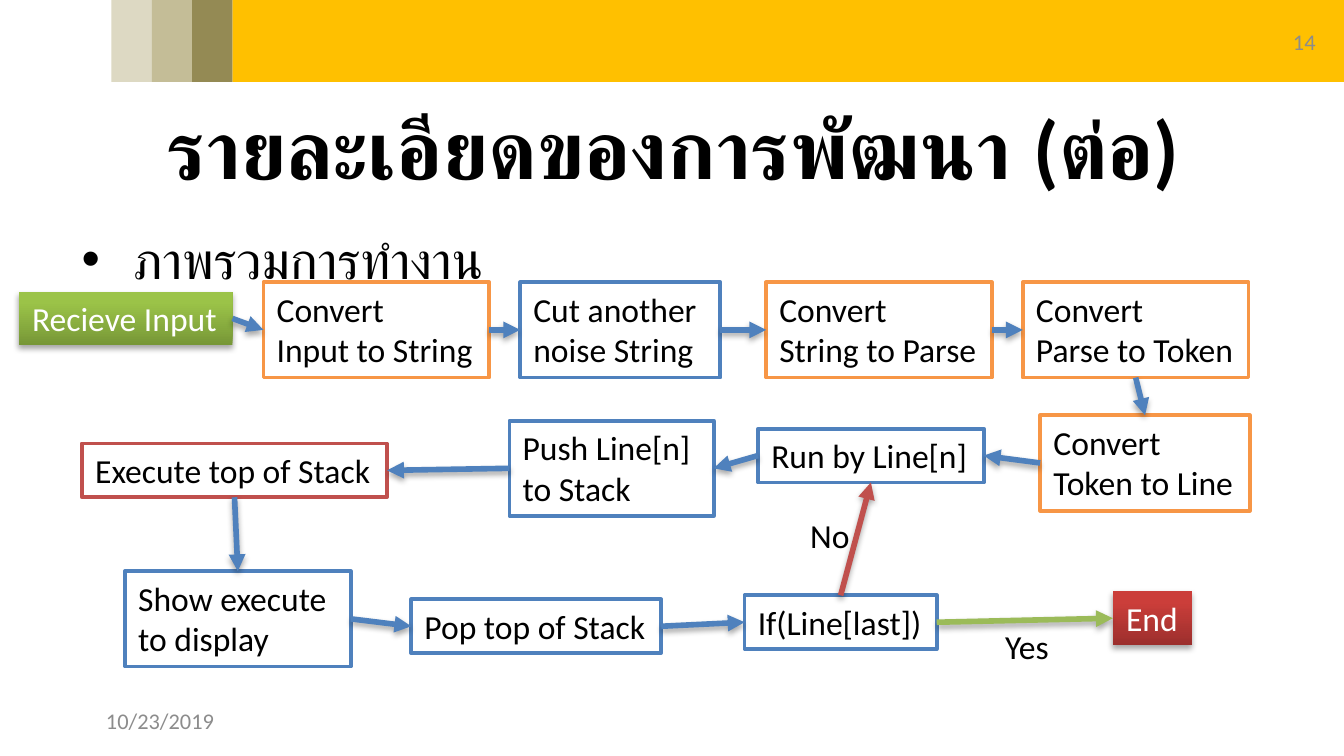
"""Build a slide with a flow chart of how the interpreter works."""
from lxml import etree
from pptx import Presentation
from pptx import util as u
from pptx.dml.color import RGBColor
from pptx.enum import shapes, text
from pptx.oxml.ns import qn

BLACK = RGBColor(0, 0, 0)
WHITE = RGBColor(255, 255, 255)
GRAY = RGBColor(0x8C, 0x8C, 0x8C)
GOLD = RGBColor(0xFF, 0xC0, 0x00)
TANS = (RGBColor(0xDD, 0xD9, 0xC3), RGBColor(0xC4, 0xBD, 0x97),
        RGBColor(0x94, 0x8A, 0x54))
BLUE = RGBColor(0x4F, 0x81, 0xBD)
ORANGE = RGBColor(0xF7, 0x96, 0x46)
RED = RGBColor(0xC0, 0x50, 0x4D)
GREEN = RGBColor(0x9B, 0xBB, 0x59)
LEAF = (RGBColor(0x77, 0x97, 0x37), RGBColor(0x9B, 0xC3, 0x48))
BRICK = (RGBColor(0x9C, 0x2F, 0x2D), RGBColor(0xCB, 0x3E, 0x3A))


def write(shape, words, size=18, tone=BLACK, wrap=False):
    frame = shape.text_frame
    frame.word_wrap = wrap
    frame.vertical_anchor = text.MSO_ANCHOR.MIDDLE if wrap else text.MSO_ANCHOR.TOP
    if not wrap:
        frame.auto_size = text.MSO_AUTO_SIZE.SHAPE_TO_FIT_TEXT
    frame.text = words
    for para in frame.paragraphs:
        para.alignment = text.PP_ALIGN.LEFT
        para.font.size = u.Pt(size)
        para.font.name = "Calibri"
        para.font.color.rgb = tone
    return frame.paragraphs[0]


def shade(props):
    glow = props.find(qn("a:effectLst"))
    if glow is None:
        glow = etree.SubElement(props, qn("a:effectLst"))
    drop = etree.SubElement(glow, qn("a:outerShdw"), blurRad="40000",
                            dist="23000", dir="5400000", rotWithShape="0")
    ink = etree.SubElement(drop, qn("a:srgbClr"), val="000000")
    etree.SubElement(ink, qn("a:alpha"), val="35000")


deck = Presentation()
deck.slide_width = u.Inches(10)
deck.slide_height = u.Inches(10 * 9 / 16)
slide = deck.slides.add_slide(deck.slide_layouts[6])
items = slide.shapes

bands = [(1.73, 8.27, GOLD)]
bands += [(0.83 + 0.3 * i, 0.3, tone) for i, tone in enumerate(TANS)]
for left, width, tone in bands:
    band = items.add_shape(shapes.MSO_SHAPE.RECTANGLE, u.Inches(left), 0,
                           u.Inches(width), u.Inches(0.61))
    band.shadow.inherit = False
    band.fill.solid()
    band.fill.fore_color.rgb = tone
    band.line.fill.background()

title = items.add_textbox(u.Inches(0.51), u.Inches(0.62), u.Inches(9), u.Inches(0.94))
para = write(title, "รายละเอียดของการพัฒนา (ต่อ)", 44, wrap=True)
para.alignment = text.PP_ALIGN.CENTER
para.font.bold = True

page = items.add_textbox(u.Inches(9.41), u.Inches(0.01), u.Inches(0.59), u.Inches(0.6))
write(page, "14", 12, GRAY, True).alignment = text.PP_ALIGN.CENTER

date = items.add_textbox(u.Inches(0.69), u.Inches(5.21), u.Inches(2.25), u.Inches(0.3))
write(date, "10/23/2019", 12, GRAY, True)

body = items.add_textbox(u.Inches(0.51), u.Inches(1.64), u.Inches(9), u.Inches(3.54))
body.text_frame.text = "ภาพรวมการทำงาน"
props = body.text_frame.paragraphs[0]._p.get_or_add_pPr()
props.set("marL", str(u.Inches(0.38)))
props.set("indent", str(-u.Inches(0.38)))
etree.SubElement(props, qn("a:buFont"), typeface="Arial")
etree.SubElement(props, qn("a:buChar"), char="•")
body.text_frame.word_wrap = True
font = body.text_frame.paragraphs[0].font
font.size = u.Pt(28)
font.name = "Calibri"
font.color.rgb = BLACK

steps = (
    ("start", "Recieve Input", 0.14, 2.17, 1.59, LEAF),
    ("input", "Convert\nInput to String", 1.96, 2.1, 1.68, ORANGE),
    ("cut", "Cut another\nnoise String", 3.87, 2.1, 1.49, BLUE),
    ("parse", "Convert\nString to Parse", 5.7, 2.1, 1.68, ORANGE),
    ("token", "Convert\nParse to Token", 7.61, 2.1, 1.68, ORANGE),
    ("line", "Convert\nToken to Line", 7.74, 3.09, 1.56, ORANGE),
    ("run", "Run by Line[n]", 5.64, 3.19, 1.68, BLUE),
    ("push", "Push Line[n]\nto Stack", 3.79, 3.13, 1.52, BLUE),
    ("exec", "Execute top of Stack", 0.61, 3.3, 2.27, RED),
    ("show", "Show execute\nto display", 0.93, 4.25, 1.68, BLUE),
    ("pop", "Pop top of Stack", 3.06, 4.46, 1.86, BLUE),
    ("if", "If(Line[last])", 5.54, 4.43, 1.43, BLUE),
    ("end", "End", 8.28, 4.4, 0.59, BRICK),
)
boxes = {}
for name, words, left, top, width, tone in steps:
    height = 0.71 if "\n" in words else 0.4
    box = items.add_shape(shapes.MSO_SHAPE.RECTANGLE, u.Inches(left), u.Inches(top),
                          u.Inches(width), u.Inches(height))
    box.shadow.inherit = False
    if tone in (LEAF, BRICK):
        box.fill.gradient()
        box.fill.gradient_angle = 90
        for stop, hue, place in zip(box.fill.gradient_stops, tone, (0, 0.8)):
            stop.color.rgb = hue
            stop.position = place
        box.line.fill.background()
        shade(box._element.spPr)
        write(box, words, tone=WHITE)
    else:
        box.fill.solid()
        box.fill.fore_color.rgb = WHITE
        box.line.color.rgb = tone
        box.line.width = u.Pt(2)
        write(box, words)
    boxes[name] = box

TOP, LEFT, BOTTOM, RIGHT = range(4)
links = (
    ("start", RIGHT, "input", LEFT, BLUE),
    ("input", RIGHT, "cut", LEFT, BLUE),
    ("cut", RIGHT, "parse", LEFT, BLUE),
    ("parse", RIGHT, "token", LEFT, BLUE),
    ("token", BOTTOM, "line", TOP, BLUE),
    ("line", LEFT, "run", RIGHT, BLUE),
    ("run", LEFT, "push", RIGHT, BLUE),
    ("push", LEFT, "exec", RIGHT, BLUE),
    ("exec", BOTTOM, "show", TOP, BLUE),
    ("show", RIGHT, "pop", LEFT, BLUE),
    ("pop", RIGHT, "if", LEFT, BLUE),
    ("if", TOP, "run", BOTTOM, RED),
    ("if", RIGHT, "end", LEFT, GREEN),
)
for first, out, last, into, tone in links:
    link = items.add_connector(shapes.MSO_CONNECTOR.STRAIGHT, 0, 0, 0, 0)
    link.begin_connect(boxes[first], out)
    link.end_connect(boxes[last], into)
    link.line.color.rgb = tone
    link.line.width = u.Pt(3)
    etree.SubElement(link.line._get_or_add_ln(), qn("a:tailEnd"), type="triangle")
    shade(link._element.spPr)

for words, left, top, width in (("No", 5.93, 3.78, 0.5), ("Yes", 7.38, 4.61, 0.53)):
    label = items.add_textbox(u.Inches(left), u.Inches(top), u.Inches(width), u.Inches(0.4))
    write(label, words)

deck.save("out.pptx")
